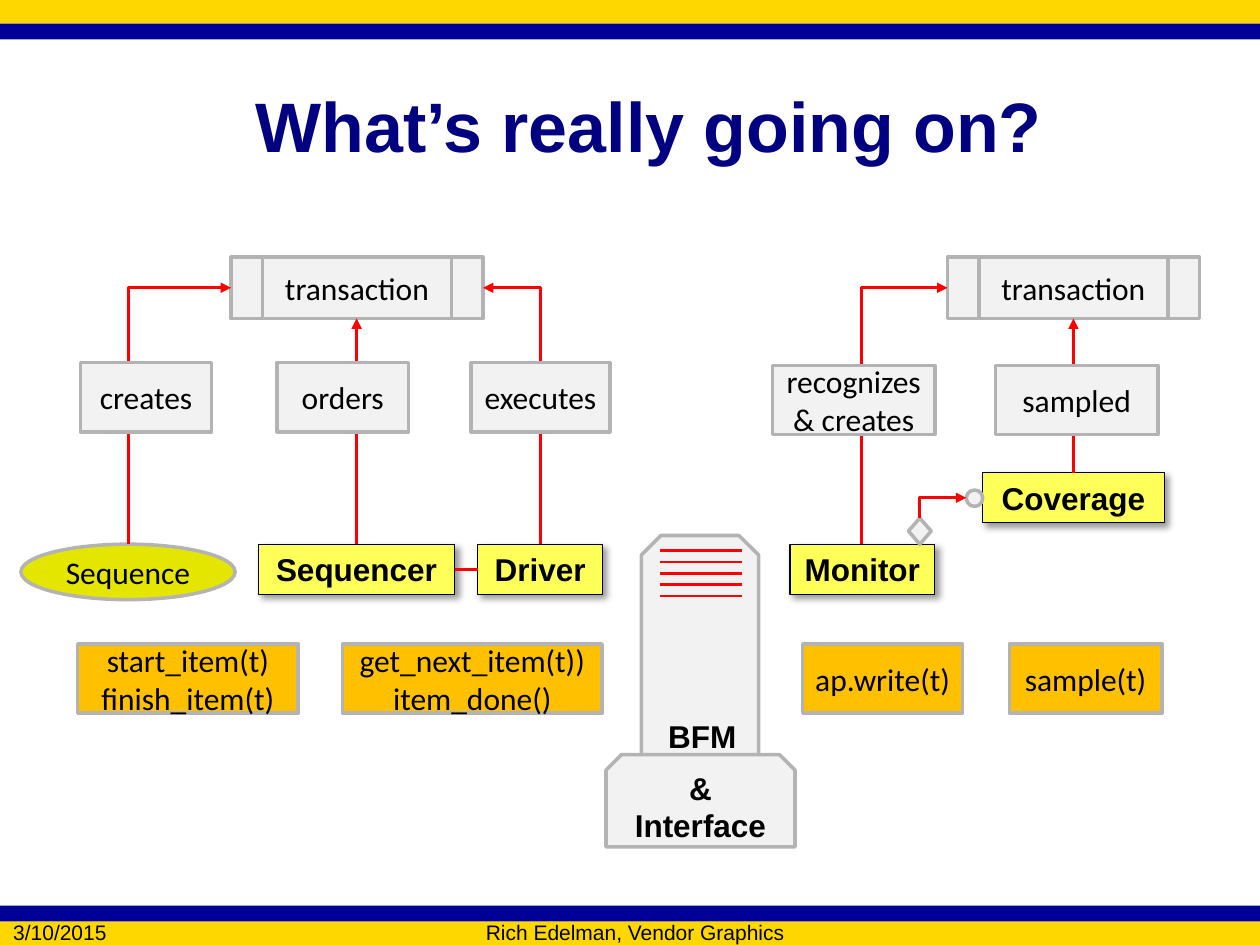
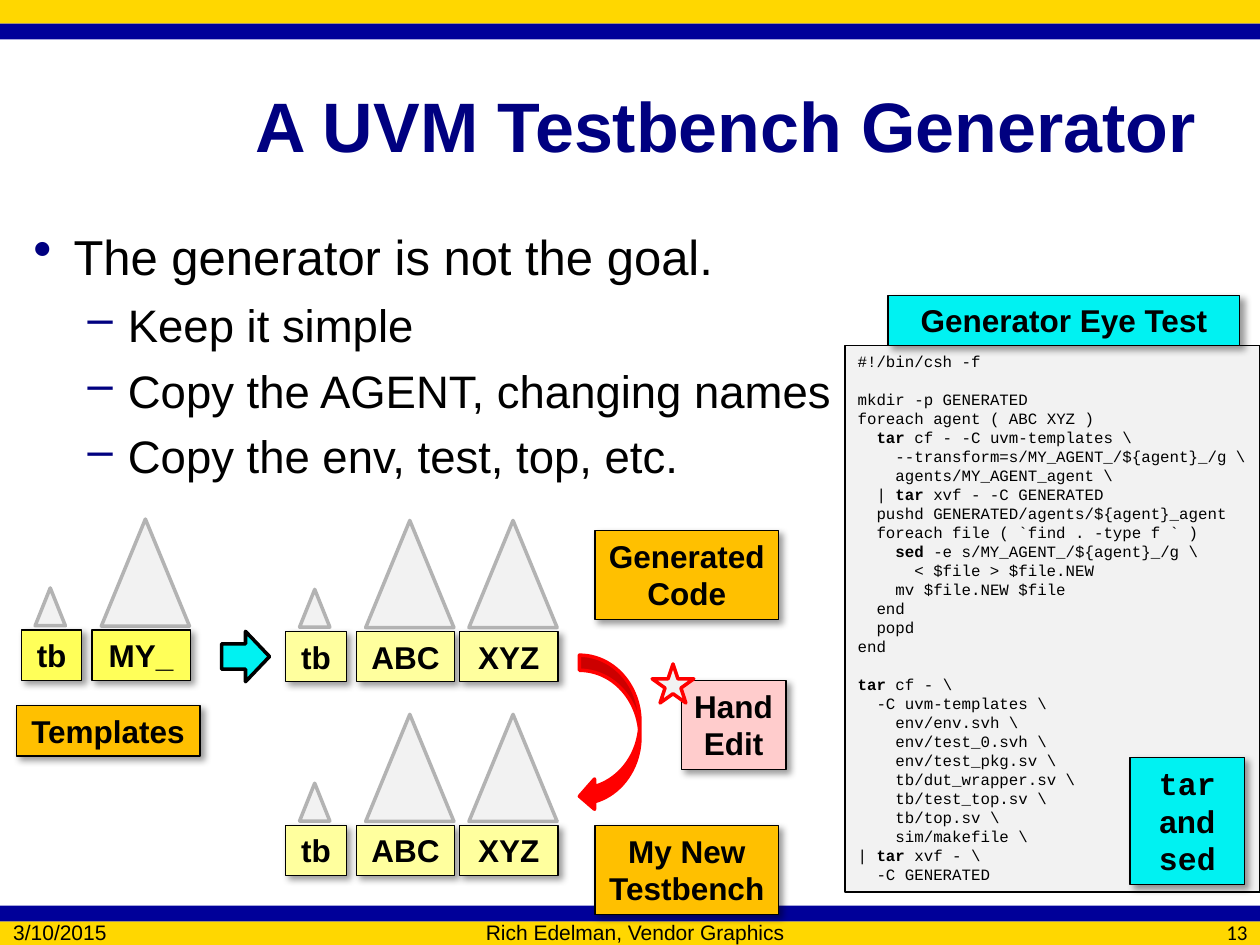
import lxml.etree
import pptx
import pptx.dml.color
import pptx.enum.shapes
import pptx.enum.text
import pptx.oxml.ns
import pptx.util

Pt = pptx.util.Pt
PRESET = pptx.enum.shapes.MSO_SHAPE
CONNECTOR = pptx.enum.shapes.MSO_CONNECTOR
ALIGN = pptx.enum.text.PP_ALIGN
ANCHOR = pptx.enum.text.MSO_ANCHOR
qn = pptx.oxml.ns.qn

COLORS = {
    "gold": "FFD700", "blue": "000099", "navy": "000080", "black": "000000",
    "grey": "F2F2F2", "edge": "B3B3B3", "red": "FF0000", "olive": "E5E600",
    "yellow": "FFFF59", "pale": "FFFF9E", "orange": "FFC000",
    "cyan": "00F2F2", "pink": "FFCCCC",
}

STYLES = {
    "title": {"font": {"name": "Arial", "size": Pt(40), "bold": True}, "color": "navy"},
    "footer": {"font": {"name": "Arial", "size": Pt(12)}},
    "page": {"font": {"name": "Calibri", "size": Pt(12)}},
    "node": {"font": {"name": "Calibri", "size": Pt(18)}},
    "card": {"font": {"name": "Arial", "size": Pt(18), "bold": True}},
    "point": {"font": {"name": "Arial", "size": Pt(28)}},
    "subpoint": {"font": {"name": "Arial", "size": Pt(26)}},
    "code": {"font": {"name": "Courier New", "size": Pt(9)}},
    "command": {"font": {"name": "Courier New", "size": Pt(9), "bold": True}},
    "tool": {"font": {"name": "Courier New", "size": Pt(18), "bold": True}},
}

FRAME = {"word_wrap": True, "auto_size": pptx.enum.text.MSO_AUTO_SIZE.NONE,
         "margin_left": Pt(7.2), "margin_right": Pt(7.2),
         "margin_top": Pt(3.6), "margin_bottom": Pt(3.6),
         "vertical_anchor": ANCHOR.MIDDLE}
TIGHT = {"margin_left": Pt(5), "margin_right": Pt(5)}
CARD_HEIGHT = 28.8
LABEL_HEIGHT = 39.6

CODE = r"""#!/bin/csh -f

mkdir -p GENERATED
foreach agent ( ABC XYZ )
  tar cf - -C uvm-templates \
    --transform=s/MY_AGENT_/${agent}_/g \
    agents/MY_AGENT_agent \
  | tar xvf - -C GENERATED
  pushd GENERATED/agents/${agent}_agent
  foreach file ( `find . -type f ` )
    sed -e s/MY_AGENT_/${agent}_/g \
      < $file > $file.NEW
    mv $file.NEW $file
  end
  popd
end

tar cf - \
  -C uvm-templates \
    env/env.svh \
    env/test_0.svh \
    env/test_pkg.sv \
    tb/dut_wrapper.sv \
    tb/test_top.sv \
    tb/top.sv \
    sim/makefile \
| tar xvf - \
  -C GENERATED"""


def rgb(color):
    """Return the named colour."""
    return pptx.dml.color.RGBColor.from_string(COLORS[color])


def apply(target, values):
    """Set each format value on the target."""
    for name, value in values.items():
        setattr(target, name, value)


def add_run(paragraph, text, style):
    """Append a run in a named style."""
    run = paragraph.add_run()
    run.text = text
    apply(run.font, STYLES[style]["font"])
    run.font.color.rgb = rgb(STYLES[style].get("color", "black"))


def write(shape, text, style, align=ALIGN.CENTER, **frame):
    """Fill a shape with one paragraph for each line of text."""
    apply(shape.text_frame, {**FRAME, **frame})
    for index, line in enumerate(text.split("\n")):
        paragraphs = shape.text_frame.paragraphs
        paragraph = shape.text_frame.add_paragraph() if index else paragraphs[0]
        paragraph.alignment = align
        add_run(paragraph, line, style)


def text_area(slide, box, text, style, align=ALIGN.LEFT):
    """Place a text box."""
    area = slide.shapes.add_textbox(*map(Pt, box))
    write(area, text, style, align)


def block(slide, preset, box, fill, edge="edge", width=2):
    """Place a filled preset shape, outlined unless edge is None."""
    shape = slide.shapes.add_shape(preset, *map(Pt, box))
    shape.shadow.inherit = False
    shape.fill.solid()
    shape.fill.fore_color.rgb = rgb(fill)
    if edge:
        shape.line.color.rgb = rgb(edge)
        shape.line.width = Pt(width)
    else:
        shape.line.fill.background()
    return shape


def node(slide, box, text, fill="grey", preset=PRESET.RECTANGLE):
    """Place a grey-edged label."""
    write(block(slide, preset, box, fill), text, "node", **TIGHT)


def card(slide, box, text, fill="yellow"):
    """Place a black-edged card that casts a shadow."""
    shape = block(slide, PRESET.RECTANGLE, box, fill, "black", 0.75)
    effects = shape._element.spPr.find(qn("a:effectLst"))
    shadow = lxml.etree.SubElement(effects, qn("a:outerShdw"), blurRad=str(Pt(4)),
                                   dist=str(Pt(3)), dir="2700000", algn="tl", rotWithShape="0")
    tint = lxml.etree.SubElement(shadow, qn("a:srgbClr"), val=COLORS["black"])
    lxml.etree.SubElement(tint, qn("a:alpha"), val="40000")
    if text:
        write(shape, text, "card", vertical_anchor=ANCHOR.TOP, **TIGHT)
    return shape


def link(slide, x1, y1, x2, y2, arrow=False, kind=CONNECTOR.STRAIGHT):
    """Draw a red line, with an arrowhead at its end if asked."""
    line = slide.shapes.add_connector(kind, *map(Pt, (x1, y1, x2, y2)))
    line.line.color.rgb = rgb("red")
    line.line.width = Pt(1.5)
    if arrow:
        lxml.etree.SubElement(line.line._get_or_add_ln(), qn("a:tailEnd"), type="triangle")
    lxml.etree.SubElement(line._element.spPr, qn("a:effectLst"))
    return line


def elbow(slide, x1, y1, x2, y2):
    """Draw an arrow that runs up from the start and then sideways."""
    middle_x, middle_y = (x1 + x2) / 2, (y1 + y2) / 2
    half_x, half_y = abs(x2 - x1) / 2, abs(y2 - y1) / 2
    line = link(slide, middle_x - half_y, middle_y - half_x,
                middle_x + half_y, middle_y + half_x, True, CONNECTOR.ELBOW)
    properties = line._element.spPr
    properties.find(qn("a:prstGeom")).set("prst", "bentConnector2")
    turn = {"rot": "5400000", "flipH": "1"} if x2 > x1 else {"rot": "16200000"}
    for name, value in {**turn, "flipV": "1"}.items():
        properties.find(qn("a:xfrm")).set(name, value)


def base_slide(deck, title, page=""):
    """Add a slide with bands, title and footer."""
    slide = deck.slides.add_slide(deck.slide_layouts[6])
    for top, height, color in ((0, 13.5, "gold"), (13.5, 9, "blue"),
                               (526.5, 13.5, "gold"), (517.5, 9, "blue")):
        block(slide, PRESET.RECTANGLE, (0, top, 720, height), color, None)
    text_area(slide, (139, 26, 569, 90), title, "title")
    text_area(slide, (0.5, 526.5, 83.5, 12.5), "3/10/2015", "footer")
    text_area(slide, (90, 526.5, 546, 12.5), "Rich Edelman, Vendor Graphics",
              "footer", ALIGN.CENTER)
    if page:
        text_area(slide, (648, 526.5, 72, 12.5), page, "page", ALIGN.RIGHT)
    return slide


def transaction(slide, left, top):
    """Place a transaction block."""
    node(slide, (left, top, 144, 35), "transaction", preset=PRESET.FLOWCHART_PREDEFINED_PROCESS)


def stimulus(slide, left, top):
    """Draw the sequence, sequencer and driver around their transaction."""
    row = top + 164
    node(slide, (left, row, 122.4, 31.7), "Sequence", "olive", PRESET.OVAL)
    transaction(slide, left + 120, top)
    for x, width, text in ((135.6, 112.3, "Sequencer"), (261, 71.3, "Driver")):
        card(slide, (left + x, row, width, CARD_HEIGHT), text)
    link(slide, left + 248, row + 14.4, left + 261, row + 14.4)
    elbow(slide, left + 61.4, row, left + 120, top + 17.5)
    link(slide, left + 191.8, row, left + 191.8, top + 35, True)
    elbow(slide, left + 296.8, row, left + 264, top + 17.5)
    for x, width, text in ((34, 75, "creates"), (146.4, 75, "orders"), (257.3, 79.2, "executes")):
        node(slide, (left + x, top + 60.2, width, LABEL_HEIGHT), text)
    for x, width, text in ((32.4, 126, "start_item(t)\nfinish_item(t)"),
                           (183.8, 148.3, "get_next_item(t))\nitem_done()")):
        node(slide, (left + x, top + 221, width, LABEL_HEIGHT), text, "orange")


def bus_interface(slide, left, top):
    """Draw the BFM tower on its interface base."""
    tower = block(slide, PRESET.SNIP_2_SAME_RECTANGLE, (left + 20.2, top, 67, 129), "grey")
    write(tower, "BFM", "card", ALIGN.RIGHT, vertical_anchor=ANCHOR.BOTTOM)
    base = block(slide, PRESET.SNIP_2_SAME_RECTANGLE, (left, top + 125.3, 108, 52.6), "grey")
    write(base, "& Interface", "card", vertical_anchor=ANCHOR.TOP)
    for index in range(5):
        signal_y = top + 8.6 + 6.5 * index
        link(slide, left + 31, signal_y, left + 77.8, signal_y)


def observation(slide, left, top):
    """Draw the monitor and coverage around their transaction."""
    row = top + 164
    card(slide, (left + 10, row, 82.8, CARD_HEIGHT), "Monitor")
    block(slide, PRESET.DIAMOND, (left + 77.7, top + 149, 13, 15), "grey")
    card(slide, (left + 120.2, top + 123, 103.7, CARD_HEIGHT), "Coverage")
    block(slide, PRESET.OVAL, (left + 110.8, top + 133, 9.4, 9.4), "grey")
    elbow(slide, left + 84.2, top + 149, left + 110.8, top + 137.5)
    transaction(slide, left + 100, top)
    elbow(slide, left + 51, row, left + 100, top + 17.5)
    link(slide, left + 172, top + 123.5, left + 172, top + 35, True)
    for x, text in ((0, "recognizes & creates"), (127.4, "sampled")):
        node(slide, (left + x, top + 61.8, 92.9, LABEL_HEIGHT), text)
    for x, width, text in ((17.3, 91.4, "ap.write(t)"), (135.4, 87.1, "sample(t)")):
        node(slide, (left + x, top + 221, width, LABEL_HEIGHT), text, "orange")


def goals(slide, left, top, width, height):
    """Write the bulleted goals."""
    frame = slide.shapes.add_textbox(*map(Pt, (left, top, width, height))).text_frame
    apply(frame, {**FRAME, "vertical_anchor": ANCHOR.TOP})
    lines = ("The generator is not the goal.", "Keep it simple",
             "Copy the AGENT, changing names", "Copy the env, test, top, etc.")
    for index, line in enumerate(lines):
        paragraph = frame.add_paragraph() if index else frame.paragraphs[0]
        style, indent, bullet, size = (("subpoint", 54, "–", "100000") if index
                                       else ("point", 23, "•", "110000"))
        apply(paragraph, {"level": min(index, 1), "space_before": Pt(6.4)})
        add_run(paragraph, line, style)
        properties = paragraph._p.get_or_add_pPr()
        properties.set("marL", str(Pt(indent)))
        properties.set("indent", str(Pt(-23)))
        tint = lxml.etree.SubElement(properties, qn("a:buClr"))
        lxml.etree.SubElement(tint, qn("a:srgbClr"), val=COLORS["navy"])
        lxml.etree.SubElement(properties, qn("a:buSzPct"), val=size)
        lxml.etree.SubElement(properties, qn("a:buChar"), char=bullet)


def listing(slide, left, top, width, height):
    """Show the generator script with its heading and tool note."""
    panel = block(slide, PRESET.RECTANGLE, (left, top, width, height), "grey", "black", 1)
    frame = panel.text_frame
    apply(frame, {**FRAME, "word_wrap": False, "vertical_anchor": ANCHOR.TOP})
    pitch, letter, gap = 10.85, 5.4, 0
    paragraph = frame.paragraphs[0]
    for index, line in enumerate(CODE.split("\n")):
        if not line:
            gap = pitch
            continue
        paragraph = frame.add_paragraph() if index else paragraph
        apply(paragraph, {"alignment": ALIGN.LEFT, "line_spacing": Pt(pitch),
                          "space_before": Pt(gap)})
        gap = 0
        words = line.lstrip()
        paragraph._p.get_or_add_pPr().set("marL", str(Pt(letter * (len(line) - len(words)))))
        command = next((name for name in ("tar", "sed") if name in words), None)
        before, command, after = words.partition(command) if command else (words, "", "")
        for text, style in ((before, "code"), (command, "command"), (after, "code")):
            if text:
                add_run(paragraph, text, style)
    card(slide, (left + 24.5, top - 28.8, 201, CARD_HEIGHT), "Generator Eye Test", "cyan")
    tools = card(slide, (left + 162.7, top + 235.4, 65.5, 72.7), "", "cyan")
    apply(tools.text_frame, {**FRAME, "vertical_anchor": ANCHOR.TOP})
    paragraph = tools.text_frame.paragraphs[0]
    paragraph.alignment = ALIGN.CENTER
    for text, style in (("tar", "tool"), (" and ", "card"), ("sed", "tool")):
        add_run(paragraph, text, style)


def testbench(slide, left, top, agents, fill):
    """Draw a tb card and its agent cards, each under a triangle."""
    block(slide, PRESET.ISOSCELES_TRIANGLE, (left + 7.9, top - 24, 17.3, 21.6), "grey")
    card(slide, (left, top, 34.6, CARD_HEIGHT), "tb", fill)
    for index, agent in enumerate(agents):
        x = left + 40.3 + 59 * index
        block(slide, PRESET.ISOSCELES_TRIANGLE, (x + 5.4, top - 63.4, 50.4, 61.2), "grey")
        card(slide, (x, top, 56.2, CARD_HEIGHT), agent, fill)


def generator_flow(slide, left, top):
    """Draw the way from templates to the new testbench."""
    testbench(slide, left + 2.9, top + 62.6, ["MY_"], "yellow")
    for y in (63.4, 174.2):
        testbench(slide, left + 154, top + y, ["ABC", "XYZ"], "pale")
    block(slide, PRESET.RIGHT_ARROW, (left + 117.3, top + 63.4, 27.4, 28.8), "cyan", "black")
    block(slide, PRESET.CURVED_LEFT_ARROW, (left + 321.8, top + 77, 34.6, 89.3), "red", "red")
    for x, y, width, height, text, fill in (
            (380, 91.4, 59.8, 51, "Hand Edit", "pink"),
            (0, 105.8, 105, CARD_HEIGHT, "Templates", "orange"),
            (330.7, 5.7, 105, 51, "Generated Code", "orange"),
            (330.7, 174.2, 105, 51, "My New Testbench", "orange")):
        card(slide, (left + x, top + y, width, height), text, fill)
    block(slide, PRESET.STAR_5_POINT, (left + 363.4, top + 82, 23.8, 22.3), "grey", "red")


def main():
    """Build and save both slides."""
    deck = pptx.Presentation()
    apply(deck, {"slide_width": Pt(720), "slide_height": Pt(540)})
    overview = base_slide(deck, "What’s really going on?")
    bus_interface(overview, 346.3, 306)
    stimulus(overview, 12, 147)
    observation(overview, 441.4, 147)
    generator = base_slide(deck, "A UVM Testbench Generator", "13")
    goals(generator, 12, 126, 696, 384)
    listing(generator, 483, 197.5, 237, 312.5)
    generator_flow(generator, 9.3, 297.4)
    deck.save("out.pptx")


if __name__ == "__main__":
    main()
